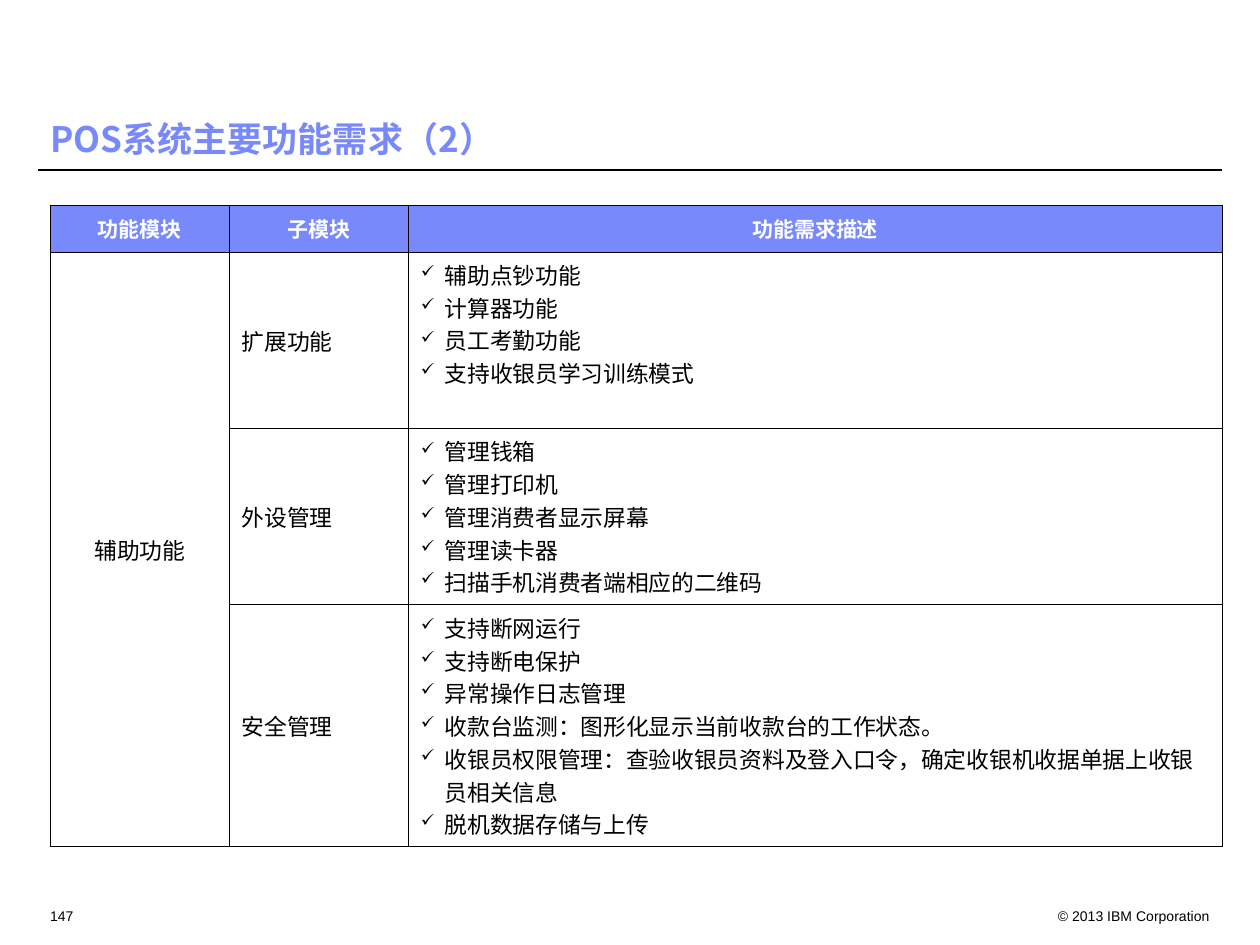
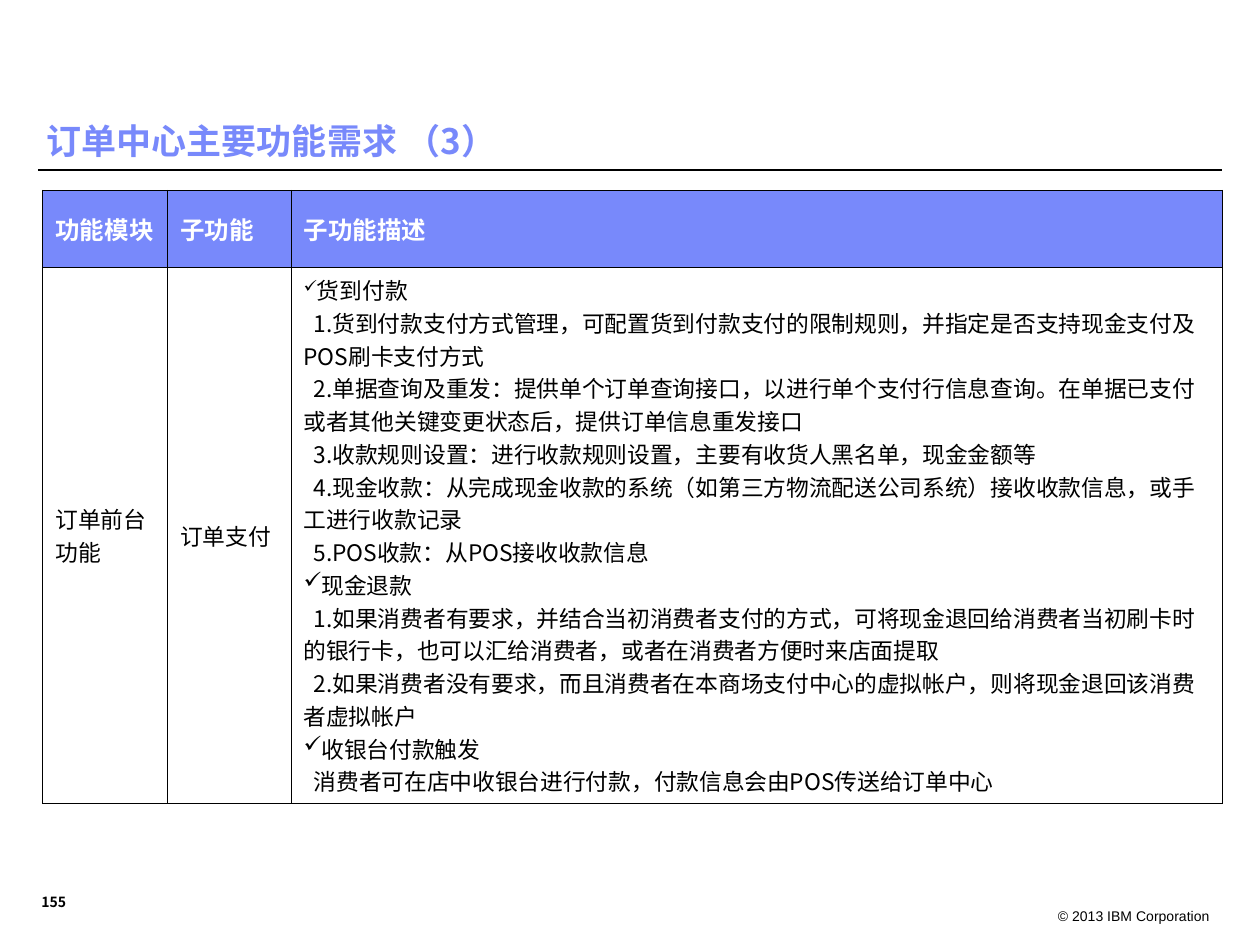
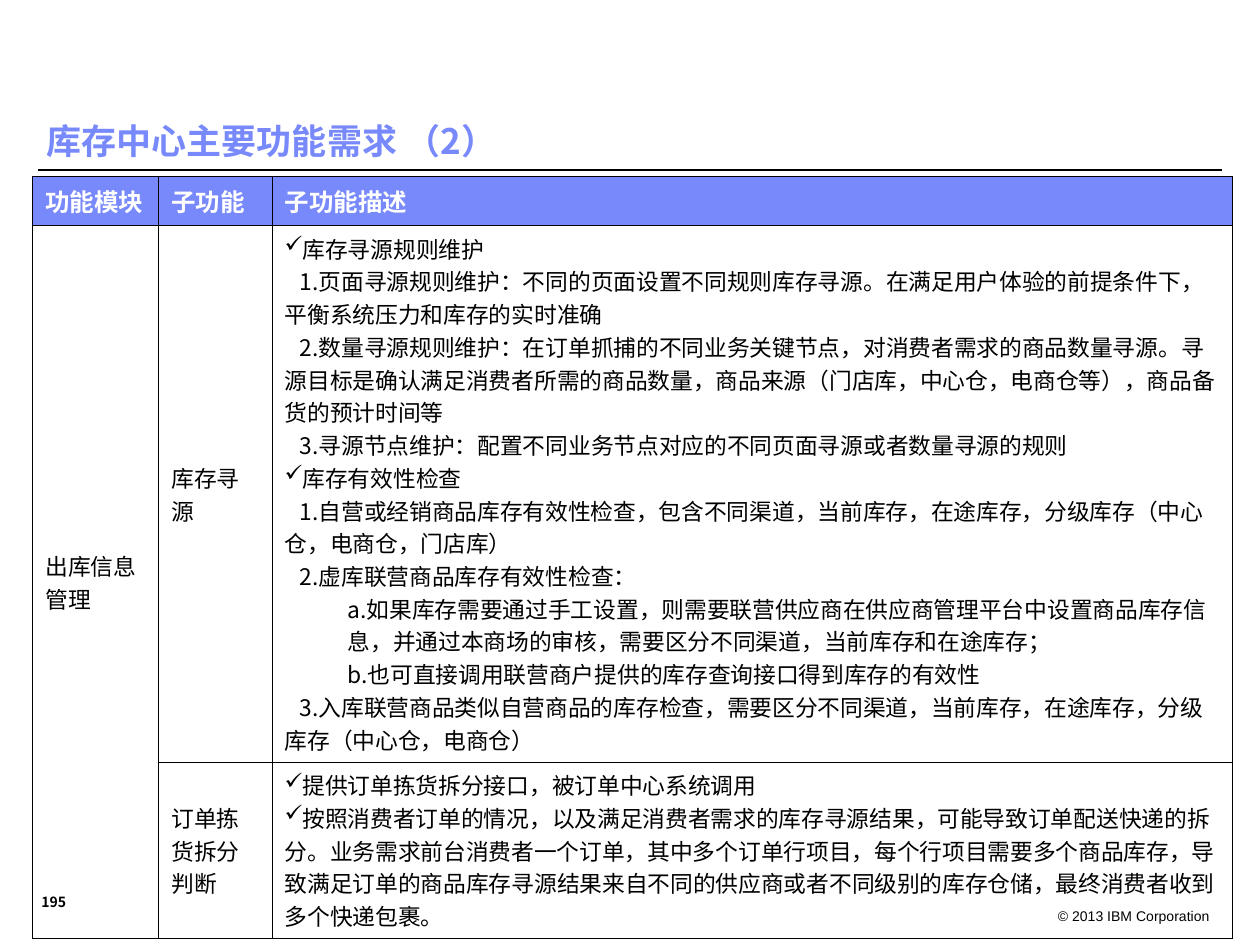
from dataclasses import dataclass
from typing import NamedTuple

from lxml import etree
from pptx import Presentation
from pptx.dml.color import RGBColor
from pptx.enum.shapes import MSO_CONNECTOR
from pptx.enum.text import MSO_ANCHOR, MSO_AUTO_SIZE, PP_ALIGN
from pptx.oxml.ns import qn
from pptx.util import Emu, Inches, Pt

LEFT, CENTER, RIGHT = PP_ALIGN.LEFT, PP_ALIGN.CENTER, PP_ALIGN.RIGHT
TOP, MIDDLE, BOTTOM = MSO_ANCHOR.TOP, MSO_ANCHOR.MIDDLE, MSO_ANCHOR.BOTTOM
STRAIGHT = MSO_CONNECTOR.STRAIGHT
NO_AUTOFIT = MSO_AUTO_SIZE.NONE

COLORS = {"accent": "7889FB", "ink": "000000", "paper": "FFFFFF"}
CJK, LATIN = "Noto Sans CJK SC", "Arial"
TITLE_ONLY = 5
COPYRIGHT = "© 2013 IBM Corporation"

# The slide is a grid of 100 columns by 75 rows
SLIDE_W, SLIDE_H = Inches(10), Inches(7.5)
GRID_COLS, GRID_ROWS = 100, 75


def cols(n: float) -> Emu:
    return Emu(round(SLIDE_W * n / GRID_COLS))


def rows(n: float) -> Emu:
    return Emu(round(SLIDE_H * n / GRID_ROWS))


class Box(NamedTuple):
    x: float
    y: float
    w: float
    h: float

    def emu(self) -> tuple:
        return cols(self.x), rows(self.y), cols(self.w), rows(self.h)


class Style(NamedTuple):
    size: float
    color: str = "ink"
    bold: bool = False
    font: str = CJK


class Para(NamedTuple):
    text: str
    tick: int = 0  # size of the tick in percent, 0 for none
    left: float = 0
    first: float = 0


class Number(NamedTuple):
    box: Box
    style: Style
    anchor: MSO_ANCHOR


@dataclass
class Feature:
    name: str
    paras: list
    anchor: MSO_ANCHOR = MIDDLE


@dataclass
class Page:
    title: str
    title_box: Box
    number: str
    number_spec: Number
    table_at: tuple
    col_widths: list
    row_heights: list
    headers: list
    header_size: float
    module: str
    features: list
    centered: bool = False


BODY = Style(13)
TITLE = Style(20, "accent", True)
FOOTER = Style(8, font=LATIN)
FOOTER_BOX = Box(82, 71.5, 15, 2)
LOW_NUMBER = Number(Box(3, 71.5, 4, 2), FOOTER, TOP)
BOLD_NUMBER = Number(Box(2.3, 70.3, 4.4, 2.4), Style(8, bold=True), BOTTOM)
LOW_TITLE = Box(2.7, 8.5, 95, 4.9)


def hanging(*texts: str) -> list:
    return [Para(t, 75, 1.9, -1.9) for t in texts]


def tick(text: str, size: int = 100) -> Para:
    return Para(text, size)


def steps(first: float, *texts: str) -> list:
    return [Para(t, first=first) for t in texts]


PAGES = [
    Page(
        "POS系统主要功能需求（2）", Box(3, 5.2, 94, 8), "147", LOW_NUMBER,
        (4, 16.3), [14.2, 14.2, 64.6], [3.7, 14, 14, 19.2],
        ["功能模块", "子模块", "功能需求描述"], 12, "辅助功能",
        [
            Feature("扩展功能", hanging(
                "辅助点钞功能", "计算器功能", "员工考勤功能",
                "支持收银员学习训练模式"), TOP),
            Feature("外设管理", hanging(
                "管理钱箱", "管理打印机", "管理消费者显示屏幕", "管理读卡器",
                "扫描手机消费者端相应的二维码")),
            Feature("安全管理", hanging(
                "支持断网运行", "支持断电保护", "异常操作日志管理",
                "收款台监测：图形化显示当前收款台的工作状态。",
                "收银员权限管理：查验收银员资料及登入口令，确定收银机收据单据上收银员相关信息",
                "脱机数据存储与上传")),
        ], centered=True),
    Page(
        "订单中心主要功能需求 （3）", LOW_TITLE, "155", BOLD_NUMBER,
        (3.4, 15.1), [9.9, 9.8, 73.9], [6.1, 42.6],
        ["功能模块", "子功能", "子功能描述"], 14, "订单前台功能",
        [
            Feature("订单支付", [
                tick("货到付款", 75),
                *steps(
                    0.8,
                    "1.货到付款支付方式管理，可配置货到付款支付的限制规则，并指定是否支持现金支付及POS刷卡支付方式",
                    "2.单据查询及重发：提供单个订单查询接口，以进行单个支付行信息查询。在单据已支付或者其他关键变更状态后，提供订单信息重发接口",
                    "3.收款规则设置：进行收款规则设置，主要有收货人黑名单，现金金额等",
                    "4.现金收款：从完成现金收款的系统（如第三方物流配送公司系统）接收收款信息，或手工进行收款记录",
                    "5.POS收款：从POS接收收款信息"),
                tick("现金退款"),
                *steps(
                    0.8,
                    "1.如果消费者有要求，并结合当初消费者支付的方式，可将现金退回给消费者当初刷卡时的银行卡，也可以汇给消费者，或者在消费者方便时来店面提取",
                    "2.如果消费者没有要求，而且消费者在本商场支付中心的虚拟帐户，则将现金退回该消费者虚拟帐户"),
                tick("收银台付款触发"),
                *steps(0.8, "消费者可在店中收银台进行付款，付款信息会由POS传送给订单中心"),
            ]),
        ]),
    Page(
        "库存中心主要功能需求 （2）", LOW_TITLE, "195", BOLD_NUMBER,
        (2.6, 14), [10, 9, 76.2], [3.9, 42.5, 14],
        ["功能模块", "子功能", "子功能描述"], 14, "出库信息管理",
        [
            Feature("库存寻源", [
                tick("库存寻源规则维护"),
                *steps(
                    1.2,
                    "1.页面寻源规则维护：不同的页面设置不同规则库存寻源。在满足用户体验的前提条件下，平衡系统压力和库存的实时准确",
                    "2.数量寻源规则维护：在订单抓捕的不同业务关键节点，对消费者需求的商品数量寻源。寻源目标是确认满足消费者所需的商品数量，商品来源（门店库，中心仓，电商仓等），商品备货的预计时间等",
                    "3.寻源节点维护：配置不同业务节点对应的不同页面寻源或者数量寻源的规则"),
                tick("库存有效性检查"),
                *steps(
                    1.2,
                    "1.自营或经销商品库存有效性检查，包含不同渠道，当前库存，在途库存，分级库存（中心仓，电商仓，门店库）",
                    "2.虚库联营商品库存有效性检查："),
                Para("a.如果库存需要通过手工设置，则需要联营供应商在供应商管理平台中设置商品库存信息，并通过本商场的审核，需要区分不同渠道，当前库存和在途库存；", left=5),
                Para("b.也可直接调用联营商户提供的库存查询接口得到库存的有效性", left=5),
                *steps(1.2, "3.入库联营商品类似自营商品的库存检查，需要区分不同渠道，当前库存，在途库存，分级库存（中心仓，电商仓）"),
            ]),
            Feature("订单拣货拆分判断", [
                tick("提供订单拣货拆分接口，被订单中心系统调用"),
                tick("按照消费者订单的情况，以及满足消费者需求的库存寻源结果，可能导致订单配送快递的拆分。业务需求前台消费者一个订单，其中多个订单行项目，每个行项目需要多个商品库存，导致满足订单的商品库存寻源结果来自不同的供应商或者不同级别的库存仓储，最终消费者收到多个快递包裹。"),
            ]),
        ]),
]


def rgb(name: str) -> RGBColor:
    return RGBColor.from_string(COLORS[name])


def sub(parent, tag: str, **attrs):
    return etree.SubElement(parent, qn(tag), attrs)


def add_run(p, text: str, style: Style) -> None:
    r = p.add_run()
    r.text = text
    r.font.color.rgb = rgb(style.color)
    formats = {"size": Pt(style.size), "bold": style.bold, "name": style.font}
    for key, value in formats.items():
        setattr(r.font, key, value)
    sub(r.font._element, "a:ea", typeface=style.font)


def format_para(p, para: Para) -> None:
    pPr = p._p.get_or_add_pPr()
    pPr.set("marL", str(cols(para.left)))
    pPr.set("indent", str(cols(para.first)))
    if para.tick:
        sub(sub(pPr, "a:buClr"), "a:srgbClr", val=COLORS["ink"])
        sub(pPr, "a:buSzPct", val=str(para.tick * 1000))
        sub(pPr, "a:buChar", char="✓")


def fill_text(tf, paras: list, style: Style, align=LEFT) -> None:
    for i, para in enumerate(paras):
        p = tf.paragraphs[0] if i == 0 else tf.add_paragraph()
        format_para(p, para)
        p.alignment = align
        add_run(p, para.text, style)


def add_title(s, text: str, box: Box) -> None:
    title = s.shapes.title
    title.left, title.top, title.width, title.height = box.emu()
    tf = title.text_frame
    tf.auto_size, tf.vertical_anchor = NO_AUTOFIT, BOTTOM
    fill_text(tf, [Para(text)], TITLE)
    tf.paragraphs[0].line_spacing = 0.9


def add_label(s, text: str, box: Box, style: Style, align=LEFT, anchor=TOP) -> None:
    tf = s.shapes.add_textbox(*box.emu()).text_frame
    tf.word_wrap, tf.vertical_anchor = True, anchor
    fill_text(tf, [Para(text)], style, align)


def add_rule(s) -> None:
    y = rows(13.5)
    rule = s.shapes.add_connector(STRAIGHT, cols(3), y, cols(97), y)
    rule.line.color.rgb = rgb("ink")
    rule.line.width = Pt(0.75)
    sub(rule._element.spPr, "a:effectLst")


def set_borders(cell) -> None:
    tcPr = cell._tc.get_or_add_tcPr()
    for i, side in enumerate("LRTB"):
        ln = sub(tcPr, f"a:ln{side}", w=str(Pt(0.5)))
        sub(sub(ln, "a:solidFill"), "a:srgbClr", val=COLORS["ink"])
        tcPr.insert(i, ln)


def set_cell(cell, paras: list, style: Style, align=LEFT, anchor=MIDDLE) -> None:
    cell.vertical_anchor = anchor
    fill_text(cell.text_frame, paras, style, align)


def add_features(s, page: Page) -> None:
    x, y = page.table_at
    box = Box(x, y, sum(page.col_widths), sum(page.row_heights))
    table = s.shapes.add_table(
        len(page.row_heights), len(page.col_widths), *box.emu()).table
    table.first_row = table.horz_banding = False
    for column, width in zip(table.columns, page.col_widths):
        column.width = cols(width)
    for row, height in zip(table.rows, page.row_heights):
        row.height = rows(height)

    # Header fill and cell borders
    for i, row in enumerate(table.rows):
        for cell in row.cells:
            if i == 0:
                cell.fill.solid()
                cell.fill.fore_color.rgb = rgb("accent")
            else:
                cell.fill.background()
            set_borders(cell)

    # Wording: header row, module column, then one row per feature
    align = CENTER if page.centered else LEFT
    header = Style(page.header_size, "paper", True)
    for cell, text in zip(table.rows[0].cells, page.headers):
        set_cell(cell, [Para(text)], header, align)
    module = table.cell(1, 0)
    if len(page.features) > 1:
        module.merge(table.cell(len(page.features), 0))
    set_cell(module, [Para(page.module)], BODY, align)
    for i, feature in enumerate(page.features, 1):
        set_cell(table.cell(i, 1), [Para(feature.name)], BODY)
        set_cell(table.cell(i, 2), feature.paras, BODY, anchor=feature.anchor)


def add_page(prs, page: Page) -> None:
    s = prs.slides.add_slide(prs.slide_layouts[TITLE_ONLY])
    add_title(s, page.title, page.title_box)
    add_rule(s)
    add_features(s, page)
    add_label(s, COPYRIGHT, FOOTER_BOX, FOOTER, RIGHT)
    box, style, anchor = page.number_spec
    add_label(s, page.number, box, style, anchor=anchor)


def main() -> None:
    prs = Presentation()
    prs.slide_width, prs.slide_height = SLIDE_W, SLIDE_H
    for page in PAGES:
        add_page(prs, page)
    prs.save("out.pptx")


if __name__ == "__main__":
    main()
